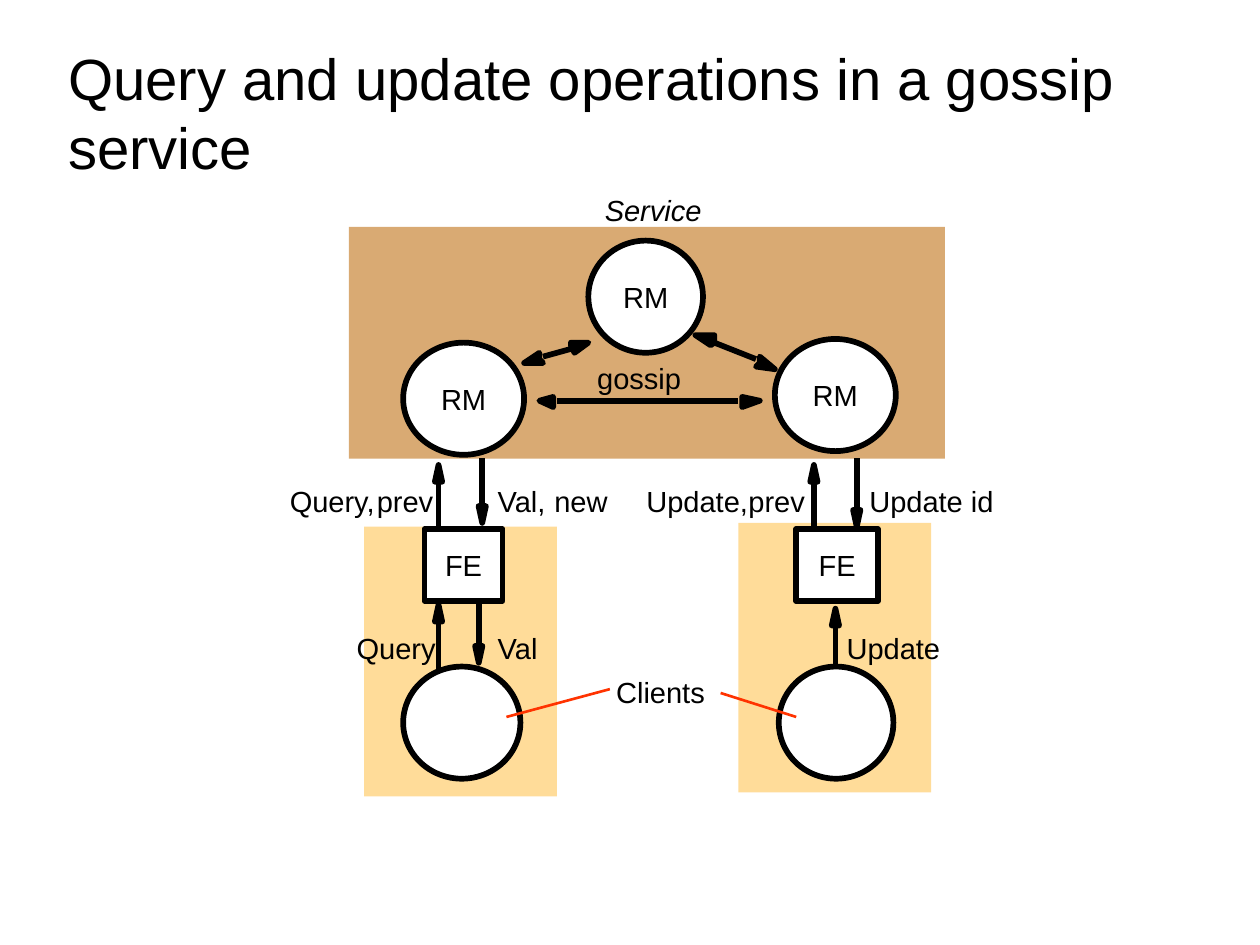
from dataclasses import dataclass
from pptx import Presentation
from pptx.dml.color import RGBColor
from pptx.enum.shapes import MSO_CONNECTOR, MSO_SHAPE
from pptx.enum.text import MSO_ANCHOR, MSO_AUTO_SIZE, PP_ALIGN
from pptx.oxml.ns import qn
from pptx.util import Pt

RECT, OVAL = MSO_SHAPE.RECTANGLE, MSO_SHAPE.OVAL
STRAIGHT = MSO_CONNECTOR.STRAIGHT
LEFT, CENTER = PP_ALIGN.LEFT, PP_ALIGN.CENTER
MIDDLE, BOTTOM = MSO_ANCHOR.MIDDLE, MSO_ANCHOR.BOTTOM


@dataclass(frozen=True)
class Theme:
    font: str = "Arial"
    title_size: float = 33.2
    label_size: float = 16.6
    ink: str = "000000"
    paper: str = "FFFFFF"
    service: str = "D9AA73"
    client_area: str = "FFDC99"
    pointer: str = "FF3300"
    stroke: float = 3.25
    pointer_stroke: float = 1.5


THEME = Theme()

# Content: all lengths in points
TITLE = "Query and update operations in a gossip service"
TITLE_BOX = (31.7, 20.9, 645.8, 86.4)

# left, top, width, height
CLIENT_AREAS = [(208.1, 301, 110.2, 154.1), (421.9, 298.8, 110.2, 154.1)]
SERVICE_AREA = (199.4, 129.6, 340.6, 132.5)

# kind, text, box
NODES = [
    (OVAL, "RM", (336.2, 137.5, 65.5, 64.1)),
    (OVAL, "RM", (230.4, 195.8, 69.1, 64.1)),
    (OVAL, "RM", (442.8, 193.7, 69.1, 64.1)),
    (RECT, "FE", (242.6, 302.4, 44.6, 41)),
    (RECT, "FE", (455, 302.4, 46.8, 41)),
    (OVAL, "", (230.4, 380.9, 67, 64.1)),
    (OVAL, "", (445, 380.9, 65.5, 64.1)),
]

# x, tail y, tip y
MESSAGES = [
    (250.6, 303, 265.7),
    (275.6, 262, 298.8),
    (465.1, 303, 265.7),
    (489.6, 262, 301),
    (250.6, 384.5, 345.6),
    (273.6, 341.3, 378.7),
    (477.4, 380.2, 347.8),
]
HEAD_LENGTH, HEAD_HALF_WIDTH, HEAD_GAP = 9.6, 2.1, 1

# Shaft ends, then the outline of the head at each end
GOSSIP = [
    ((310.3, 203.8), (326.2, 199.4),
     [(308.2, 205.2), (310.3, 207.4), (299.5, 207.4), (308.2, 201.6)],
     [(326.2, 197.3), (326.2, 195.8), (336.2, 195.8), (328.3, 201.6)]),
    ((318.2, 229), (421.9, 229),
     [(316.1, 229), (316.1, 232.6), (308.2, 229), (316.1, 226.8)],
     [(424.1, 229), (424.1, 226.8), (434.2, 229), (424.1, 232.6)]),
    ((408.2, 195.8), (432, 205.2),
     [(408.2, 195.8), (406.1, 197.3), (397.4, 191.5), (408.2, 191.5)],
     [(434.2, 207.4), (434.2, 203.8), (442.8, 211), (432, 209.5)]),
]

CLIENT_POINTERS = [((289.4, 409.7), (348.5, 393.8)),
                   ((455, 409.7), (411.8, 396))]

# text, left, top, width
LABELS = [
    ("Service", 345.6, 110.2, 56.2),
    ("gossip", 341.3, 205.9, 48.2),
    ("Query,", 165.6, 276.5, 49.4),
    ("prev", 215.3, 276.5, 32.4),
    ("Val,", 284.4, 276.5, 28),
    ("new", 316.8, 276.5, 31),
    ("Update,", 369.4, 276.5, 58.8),
    ("prev", 427.7, 276.5, 32.4),
    ("Update id", 496.8, 276.5, 72),
    ("Query", 203.8, 360, 45.4),
    ("Val", 284.4, 360, 23),
    ("Update", 483.8, 360, 54),
    ("Clients", 352.1, 385.2, 51.1),
]
ITALIC_LABELS = {"Service"}
LABEL_HEIGHT = 20.2


def rgb(color):
    return RGBColor.from_string(color)


def points(lengths):
    return [Pt(length) for length in lengths]


def write(frame, text, size, align, italic=None):
    frame.text = text
    paragraph = frame.paragraphs[0]
    paragraph.alignment = align
    paragraph.font.name = THEME.font
    paragraph.font.size = Pt(size)
    paragraph.font.italic = italic
    paragraph.font.color.rgb = rgb(THEME.ink)


def set_bare_frame(frame):
    frame.margin_left = frame.margin_right = 0
    frame.margin_top = frame.margin_bottom = 0
    frame.word_wrap = False


def paint(shape, fill, outlined):
    shape.shadow.inherit = False
    shape.fill.solid()
    shape.fill.fore_color.rgb = rgb(fill)
    if outlined:
        shape.line.color.rgb = rgb(THEME.ink)
        shape.line.width = Pt(THEME.stroke)
    else:
        shape.line.fill.background()


def add_box(kind, box, fill, outlined=False):
    shape = shapes.add_shape(kind, *points(box))
    paint(shape, fill, outlined)
    return shape


def add_line(start, end, color=THEME.ink, width=THEME.stroke):
    line = shapes.add_connector(STRAIGHT, *points(start + end))
    line.line.color.rgb = rgb(color)
    line.line.width = Pt(width)
    properties = line._element.spPr
    properties.append(properties.makeelement(qn("a:effectLst"), {}))


def add_head(outline):
    start, *rest = [tuple(points(corner)) for corner in outline]
    builder = shapes.build_freeform(*start, scale=1.0)
    builder.add_line_segments(rest, close=True)
    paint(builder.convert_to_shape(), THEME.ink, outlined=True)


def add_message(x, tail, tip):
    direction = 1 if tip > tail else -1
    base = tip - direction * HEAD_LENGTH
    add_head([(x + HEAD_HALF_WIDTH, base), (x, tip), (x - HEAD_HALF_WIDTH, base)])
    add_line((x, tail), (x, base - direction * HEAD_GAP))


deck = Presentation()
deck.slide_width, deck.slide_height = Pt(720), Pt(540)
slide = deck.slides.add_slide(deck.slide_layouts[5])
shapes = slide.shapes

# Title
title = shapes.title
title.left, title.top, title.width, title.height = points(TITLE_BOX)
title.text_frame.auto_size = MSO_AUTO_SIZE.NONE
title.text_frame.vertical_anchor = BOTTOM
write(title.text_frame, TITLE, THEME.title_size, LEFT)

# Service and client areas
for area in CLIENT_AREAS:
    add_box(RECT, area, THEME.client_area)
add_box(RECT, SERVICE_AREA, THEME.service)

# Messages between clients, front ends and replica managers
for message in MESSAGES:
    add_message(*message)

# Replica managers, front ends and clients
for kind, text, box in NODES:
    node = add_box(kind, box, THEME.paper, outlined=True)
    if text:
        set_bare_frame(node.text_frame)
        node.text_frame.vertical_anchor = MIDDLE
        write(node.text_frame, text, THEME.label_size, CENTER)

# Gossip exchange
for start, end, *heads in GOSSIP:
    for outline in heads:
        add_head(outline)
    add_line(start, end)

# Pointers from the clients to their label
for start, end in CLIENT_POINTERS:
    add_line(start, end, THEME.pointer, THEME.pointer_stroke)

# Labels
for text, left, top, width in LABELS:
    label = shapes.add_textbox(*points((left, top, width, LABEL_HEIGHT)))
    set_bare_frame(label.text_frame)
    italic = True if text in ITALIC_LABELS else None
    write(label.text_frame, text, THEME.label_size, LEFT, italic)

deck.save("out.pptx")
